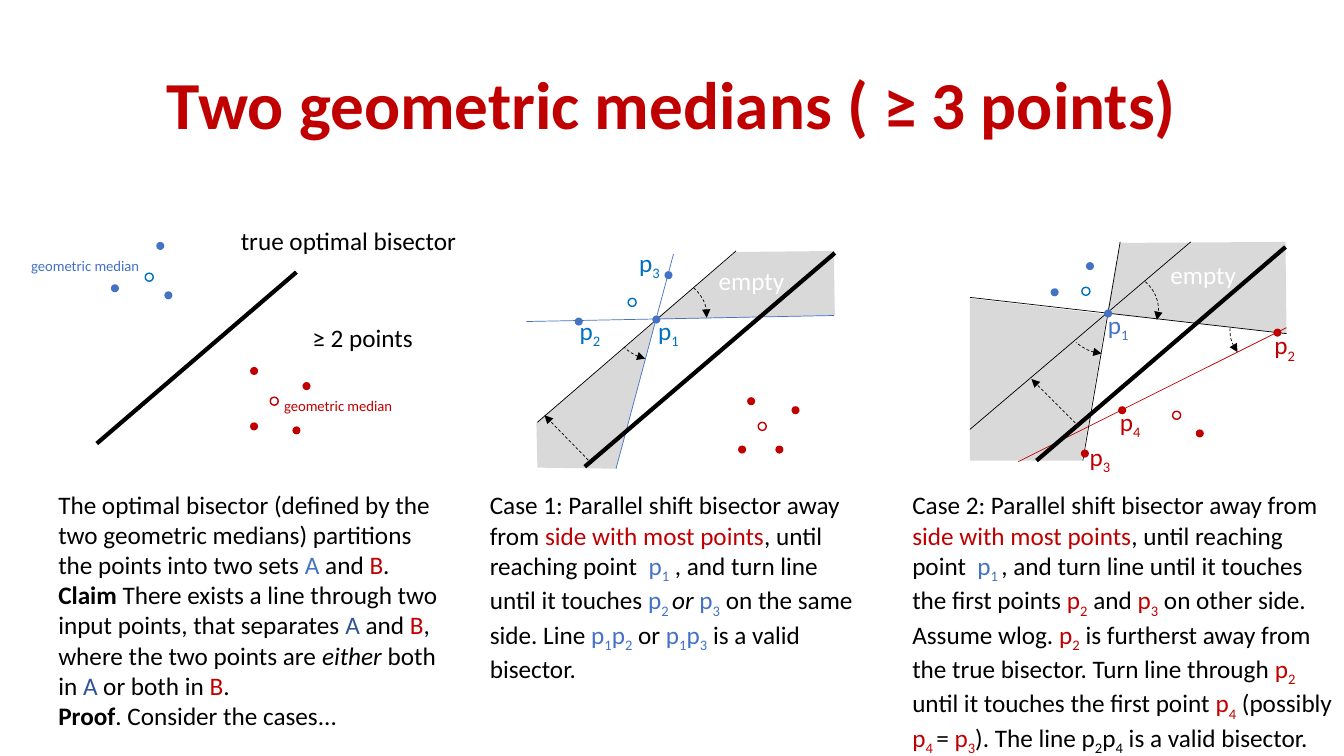
from dataclasses import dataclass

from lxml import etree
from pptx import Presentation
from pptx.dml.color import RGBColor
from pptx.enum.dml import MSO_LINE
from pptx.enum.shapes import MSO_CONNECTOR, MSO_SHAPE
from pptx.enum.text import MSO_ANCHOR, MSO_AUTO_SIZE, PP_ALIGN
from pptx.oxml.ns import qn
from pptx.util import Inches, Pt

OVAL, ARC, STRAIGHT = MSO_SHAPE.OVAL, MSO_SHAPE.ARC, MSO_CONNECTOR.STRAIGHT
DASH, TOP, GROW = MSO_LINE.DASH, MSO_ANCHOR.TOP, MSO_AUTO_SIZE.SHAPE_TO_FIT_TEXT
LEFT, CENTER, RIGHT = PP_ALIGN.LEFT, PP_ALIGN.CENTER, PP_ALIGN.RIGHT

BLACK = RGBColor(0x00, 0x00, 0x00)
WHITE = RGBColor(0xFF, 0xFF, 0xFF)
GREY = RGBColor(0xD9, 0xD9, 0xD9)
RED = RGBColor(0xC0, 0x00, 0x00)
BLUE = RGBColor(0x44, 0x72, 0xC4)
BRIGHT_BLUE = RGBColor(0x00, 0x70, 0xC0)
DARK_BLUE = RGBColor(0x2F, 0x55, 0x97)

DOT_SIZE = 0.08
ARC_WIDTH, ARC_HEIGHT = 0.85, 0.76
THIN, THICK = 0.5, 3


@dataclass
class Run:
    text: str
    color: RGBColor = BLACK
    bold: bool = False
    italic: bool = False
    sub: bool = False


@dataclass
class Line:
    start: tuple[float, float]
    end: tuple[float, float]
    color: RGBColor = BLACK
    width: float = THIN
    arrow: bool = False


@dataclass
class Turn:
    left: float
    top: float
    angles: tuple[float, float]
    arrow_end: str


@dataclass
class Label:
    box: tuple[float, float, float, float]
    paragraphs: list[list[Run]]
    size: float = 18
    align: PP_ALIGN = LEFT
    wrap: bool = True


def point(index: str, color: RGBColor = BLACK) -> list[Run]:
    return [Run("p", color), Run(index, color, sub=True)]


def point_label(left: float, top: float, index: str, color: RGBColor) -> Label:
    return Label((left, top, 0.53, 0.4), [point(index, color)])


def apply(target: object, values: dict[str, object]) -> None:
    for name, value in values.items():
        setattr(target, name, value)


def style_line(line, color: RGBColor, width: float, arrow_end: str = "") -> None:
    line.color.rgb = color
    line.width = Pt(width)
    if arrow_end:
        line.dash_style = DASH
        etree.SubElement(line._get_or_add_ln(), qn(f"a:{arrow_end}"), type="triangle")


def draw_region(shapes, corners: list[tuple[float, float]]) -> None:
    scaled = [(Inches(x), Inches(y)) for x, y in corners]
    builder = shapes.build_freeform(*scaled[0])
    builder.add_line_segments(scaled[1:])
    region = builder.convert_to_shape()
    region.shadow.inherit = False
    region.fill.solid()
    region.fill.fore_color.rgb = GREY
    region.line.fill.background()


def draw_line(shapes, line: Line) -> None:
    ends = [Inches(v) for v in line.start + line.end]
    connector = shapes.add_connector(STRAIGHT, *ends)
    style_line(connector.line, line.color, line.width, "tailEnd" if line.arrow else "")
    etree.SubElement(connector._element.spPr, qn("a:effectLst"))


def draw_turn(shapes, turn: Turn) -> None:
    box = (turn.left, turn.top, ARC_WIDTH, ARC_HEIGHT)
    arc = shapes.add_shape(ARC, *map(Inches, box))
    arc.shadow.inherit = False
    arc.adjustments[0], arc.adjustments[1] = turn.angles
    arc.fill.background()
    style_line(arc.line, BLACK, THIN, turn.arrow_end)


def draw_dot(shapes, left: float, top: float, color: RGBColor, hollow: bool) -> None:
    dot = shapes.add_shape(OVAL, *map(Inches, (left, top, DOT_SIZE, DOT_SIZE)))
    dot.shadow.inherit = False
    if hollow:
        dot.fill.background()
        style_line(dot.line, color, 1)
    else:
        dot.fill.solid()
        dot.fill.fore_color.rgb = color
        dot.line.fill.background()


def write_label(shape, label: Label) -> None:
    apply(shape, dict(zip(("left", "top", "width", "height"), map(Inches, label.box))))
    frame = shape.text_frame
    apply(frame, {"word_wrap": label.wrap, "vertical_anchor": TOP, "auto_size": GROW})
    for number, runs in enumerate(label.paragraphs):
        paragraph = frame.add_paragraph() if number else frame.paragraphs[0]
        paragraph.alignment = label.align
        for part in runs:
            run = paragraph.add_run()
            run.text = part.text
            apply(run.font, {"name": "Calibri", "size": Pt(label.size),
                             "bold": part.bold, "italic": part.italic})
            run.font.color.rgb = part.color
            if part.sub:
                run._r.get_or_add_rPr().set("baseline", "-25000")


TITLE = Label((0, 0.57, 13.33, 0.91),
              [[Run("Two geometric medians ( ≥ 3 points)", RED, bold=True)]], 48, CENTER)

# Empty double wedges of the two cases
REGIONS = [
    [(10.98, 3.11), (11.11, 2.41), (12.75, 2.4), (12.76, 3.31)],
    [(9.62, 4.57), (9.62, 2.96), (10.98, 3.12), (10.73, 4.57)],
    [(5.33, 4.64), (5.32, 4.19), (6.5, 3.19), (6.11, 4.65)],
    [(6.5, 3.17), (7.3, 2.5), (8.27, 2.49), (8.28, 3.13)],
]
LINES = [
    # Optimal bisector
    Line((0.96, 4.4), (2.94, 2.7), width=THICK),
    # Case 1
    Line((6.11, 4.65), (6.68, 2.52), BLUE),
    Line((5.33, 4.19), (7.3, 2.49)),
    Line((5.22, 3.19), (8.27, 3.13), BLUE),
    Line((5.8, 4.63), (8.28, 2.51), width=THICK),
    Line((5.87, 4.6), (5.4, 4.12), arrow=True),
    # Case 2
    Line((10.1, 4.58), (12.76, 3.25), RED),
    Line((10.74, 4.57), (11.11, 2.4)),
    Line((9.62, 4.26), (11.81, 2.4)),
    Line((9.62, 2.95), (12.76, 3.31)),
    Line((10.28, 4.57), (12.75, 2.45), width=THICK),
    Line((10.7, 4.23), (10.23, 3.76), arrow=True),
]
TURNS = [
    Turn(6.16, 2.75, (190.25, 1.82), "tailEnd"),
    Turn(6.08, 2.81, (63.49, 84.84), "headEnd"),
    Turn(10.64, 2.69, (190.25, 8.69), "tailEnd"),
    Turn(10.55, 2.75, (58.49, 83.09), "headEnd"),
    Turn(12.2, 2.9, (89.13, 110.06), "headEnd"),
]
# Input points are filled, geometric medians are hollow
DOTS = {
    (BLUE, False): [(1.1, 2.82), (1.55, 2.4), (1.63, 2.89), (5.7, 3.15), (6.59, 2.69),
                    (6.47, 3.13), (10.42, 2.86), (10.77, 2.6), (10.95, 3.07)],
    (RED, False): [(2.48, 4.19), (3, 3.79), (2.48, 3.64), (2.9, 4.23),
                   (7.32, 4.42), (7.85, 4.03), (7.41, 3.94), (7.69, 4.42),
                   (10.72, 4.46), (11.09, 4.03), (12.63, 3.26), (11.86, 4.26)],
    (BRIGHT_BLUE, True): [(1.44, 2.71), (6.23, 2.96), (10.73, 2.85)],
    (RED, True): [(2.68, 3.94), (7.52, 4.19), (11.63, 4.08)],
}
CLAIM = [
    [Run("The optimal bisector (defined by the two geometric medians) partitions the points "
         "into two sets "), Run("A", BLUE), Run(" and "), Run("B", RED), Run(".")],
    [Run("Claim ", bold=True),
     Run("There exists a line through two input points, that separates "),
     Run("A", DARK_BLUE), Run(" and "), Run("B", RED), Run(", where the two points are "),
     Run("either ", italic=True), Run("both in "), Run("A", DARK_BLUE),
     Run(" or both in "), Run("B", RED), Run(".")],
    [Run("Proof", bold=True), Run(". Consider the cases...")],
]
CASE_1 = [
    Run("Case 1: Parallel shift bisector away from "), Run("side with most points", RED),
    Run(", until reaching point  "), *point("1", BLUE),
    Run(" , and turn line until it touches "), *point("2 ", BLUE), Run("or ", italic=True),
    *point("3", BLUE), Run(" on the same side. Line "), *point("1", BLUE), *point("2", BLUE),
    Run(" or "), *point("1", BLUE), *point("3", BLUE), Run(" is a valid bisector."),
]
CASE_2 = [
    Run("Case 2: Parallel shift bisector away from "), Run("side with most points", RED),
    Run(", until reaching point  "), *point("1 ", BLUE),
    Run(", and turn line until it touches the first points "), *point("2", RED),
    Run(" and "), *point("3", RED), Run(" on other side. Assume wlog. "), *point("2", RED),
    Run(" is furtherst away from the true bisector. Turn line through "), *point("2", RED),
    Run(" until it touches the first point "), *point("4", RED), Run(" (possibly "),
    *point("4 ", RED), Run("= "), *point("3", RED), Run("). The line "), *point("2"),
    *point("4"), Run(" is a valid bisector."),
]
LABELS = [
    Label((2.29, 2.19, 2.38, 0.4), [[Run("true optimal bisector")]]),
    Label((3, 3.15, 1.69, 0.4), [[Run("≥ 2 points")]]),
    Label((2.72, 3.89, 1.34, 0.29), [[Run("geometric median", RED)]], 10.5, wrap=False),
    Label((0.14, 2.5, 1.34, 0.29), [[Run("geometric median", BLUE)]], 10.5, RIGHT, False),
    *(Label((left, top, 1.44, 0.4), [[Run("empty", WHITE)]])
      for left, top in ((7.03, 2.58), (11.51, 2.52))),
    point_label(6.43, 3.08, "1", BRIGHT_BLUE),
    point_label(5.65, 3.08, "2", BRIGHT_BLUE),
    point_label(6.24, 2.4, "3", BRIGHT_BLUE),
    point_label(10.89, 3.02, "1", BLUE),
    point_label(12.54, 3.22, "2", RED),
    point_label(10.71, 4.33, "3", RED),
    point_label(11.01, 3.98, "4", RED),
    Label((0.48, 4.8, 4.07, 2.52), CLAIM),
    Label((4.76, 4.81, 3.87, 1.92), [CASE_1]),
    Label((8.95, 4.81, 4.4, 2.52), [CASE_2]),
]


def main() -> None:
    deck = Presentation()
    apply(deck, {"slide_width": Inches(13.33), "slide_height": Inches(7.5)})
    slide = deck.slides.add_slide(deck.slide_layouts[5])
    shapes = slide.shapes
    write_label(shapes.title, TITLE)
    for corners in REGIONS:
        draw_region(shapes, corners)
    for line in LINES:
        draw_line(shapes, line)
    for turn in TURNS:
        draw_turn(shapes, turn)
    for (color, hollow), places in DOTS.items():
        for left, top in places:
            draw_dot(shapes, left, top, color, hollow)
    for label in LABELS:
        write_label(shapes.add_textbox(*map(Inches, label.box)), label)
    deck.save("out.pptx")


if __name__ == "__main__":
    main()
